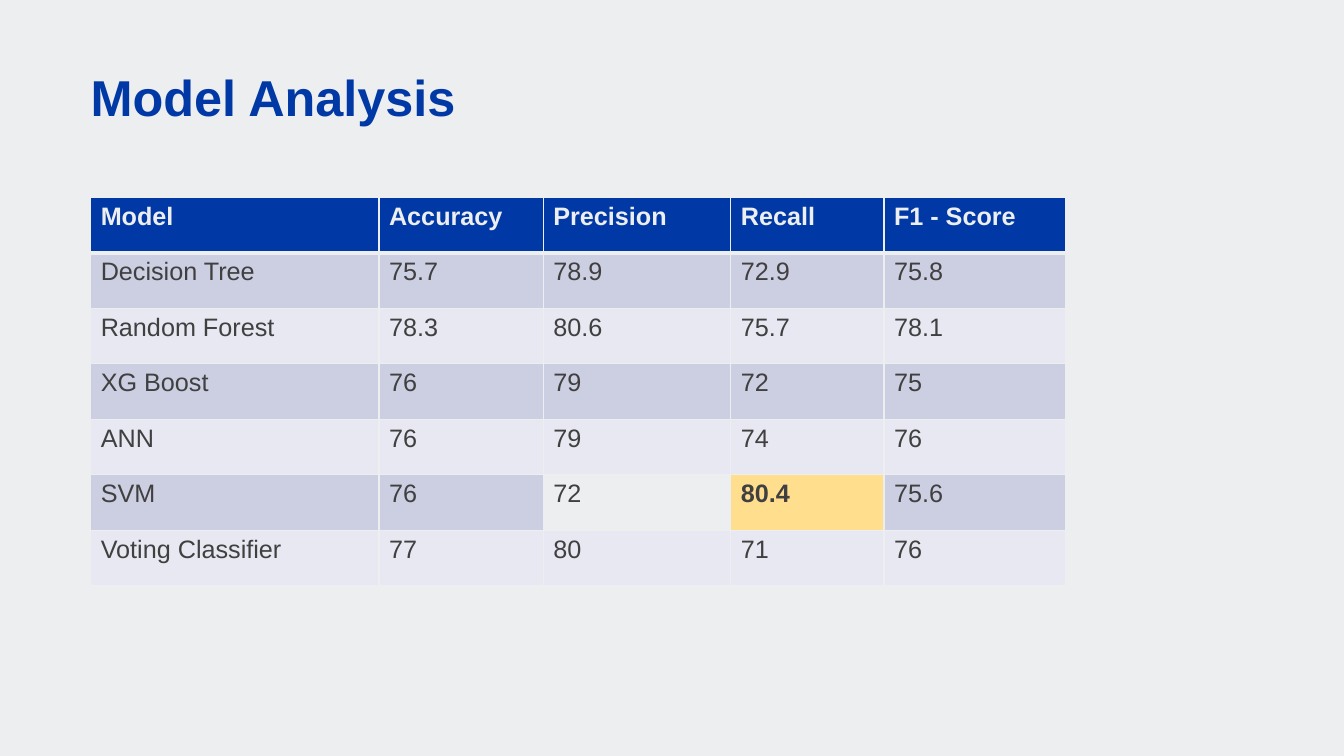
from lxml import etree
from pptx import Presentation
from pptx.dml.color import RGBColor
from pptx.enum.text import MSO_ANCHOR, PP_ALIGN
from pptx.oxml.ns import qn
from pptx.util import Pt

LEFT = PP_ALIGN.LEFT
BOTTOM = MSO_ANCHOR.BOTTOM
TITLE_ONLY_LAYOUT = 5

COLORS = {
    "background": "EDEEEF",
    "blue": "0039A6",
    "text": "404041",
    "dark_band": "CCCEE1",
    "light_band": "E7E8F1",
    "highlight": "FFDE8E",
}
COLUMN_WIDTHS = [205.92, 117.36, 133.92, 109.44, 129.6]
ROW_HEIGHT = 39.6
MODEL_SCORES = [
    ["Model", "Accuracy", "Precision", "Recall", "F1 - Score"],
    ["Decision Tree", "75.7", "78.9", "72.9", "75.8"],
    ["Random Forest", "78.3", "80.6", "75.7", "78.1"],
    ["XG Boost", "76", "79", "72", "75"],
    ["ANN", "76", "79", "74", "76"],
    ["SVM", "76", "72", "80.4", "75.6"],
    ["Voting Classifier", "77", "80", "71", "76"],
]
BEST_RECALL = (5, 3)
UNFILLED_CELL = (5, 2)


def write_text(text_frame, text, size=18, color="text", bold=False, line_spacing=1.0):
    paragraph = text_frame.paragraphs[0]
    paragraph.alignment = LEFT
    paragraph.line_spacing = line_spacing
    run = paragraph.add_run()
    run.text = text
    run.font.name = "Arial"
    run.font.size = Pt(size)
    run.font.bold = bold
    run.font.color.rgb = RGBColor.from_string(COLORS[color])


class SlideBuilder:
    def __init__(self, slide):
        self.slide = slide

    def set_background(self, color):
        fill = self.slide.background.fill
        fill.solid()
        fill.fore_color.rgb = RGBColor.from_string(COLORS[color])

    def add_title(self, text, left, top, width, height):
        title = self.slide.shapes.title
        title.left, title.top = Pt(left), Pt(top)
        title.width, title.height = Pt(width), Pt(height)
        frame = title.text_frame
        frame.margin_left = frame.margin_right = 0
        frame.margin_top = frame.margin_bottom = 0
        frame.vertical_anchor = BOTTOM
        frame.word_wrap = True
        write_text(frame, text, size=36, color="blue", bold=True, line_spacing=0.9)

    def add_score_table(self, rows, left, top):
        shape = self.slide.shapes.add_table(
            len(rows), len(COLUMN_WIDTHS), Pt(left), Pt(top),
            Pt(sum(COLUMN_WIDTHS)), Pt(ROW_HEIGHT * len(rows)))
        table = shape.table
        table.horz_banding = False
        for column, width in zip(table.columns, COLUMN_WIDTHS):
            column.width = Pt(width)
        for row_index, values in enumerate(rows):
            table.rows[row_index].height = Pt(ROW_HEIGHT)
            for column_index, value in enumerate(values):
                self.format_cell(table.cell(row_index, column_index), value,
                                 (row_index, column_index))

    def format_cell(self, cell, value, position):
        row_index = position[0]
        is_header = row_index == 0
        is_best = position == BEST_RECALL
        write_text(cell.text_frame, value,
                   color="background" if is_header else "text",
                   bold=is_header or is_best)
        self.add_borders(cell, top=3 if row_index == 1 else 1,
                         bottom=3 if is_header else 1)
        if position == UNFILLED_CELL:
            cell.fill.background()
            return
        if is_header:
            color = "blue"
        elif is_best:
            color = "highlight"
        else:
            color = "dark_band" if row_index % 2 else "light_band"
        cell.fill.solid()
        cell.fill.fore_color.rgb = RGBColor.from_string(COLORS[color])

    def add_borders(self, cell, top, bottom):
        properties = cell._tc.get_or_add_tcPr()
        for tag, width in (("a:lnL", 1), ("a:lnR", 1), ("a:lnT", top), ("a:lnB", bottom)):
            line = etree.SubElement(properties, qn(tag), w=str(Pt(width)))
            fill = etree.SubElement(line, qn("a:solidFill"))
            etree.SubElement(fill, qn("a:srgbClr"), val=COLORS["background"])


def main():
    presentation = Presentation()
    presentation.slide_width = Pt(960)
    presentation.slide_height = Pt(540)
    layout = presentation.slide_layouts[TITLE_ONLY_LAYOUT]
    builder = SlideBuilder(presentation.slides.add_slide(layout))
    builder.set_background("background")
    builder.add_title("Model Analysis", 64.8, 51.12, 895, 39.6)
    builder.add_score_table(MODEL_SCORES, 64.8, 141.12)
    presentation.save("out.pptx")


if __name__ == "__main__":
    main()
